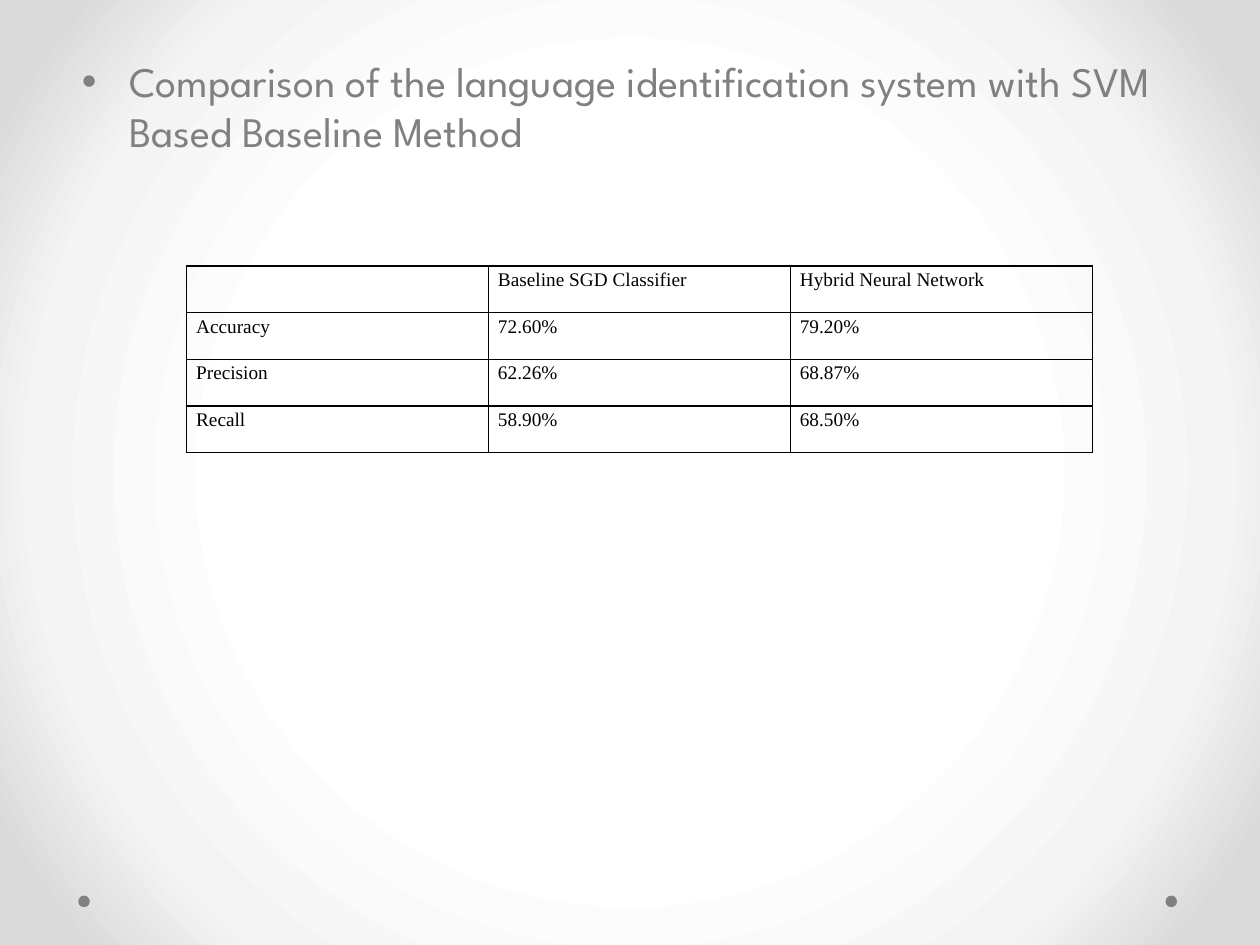
"""Builds a slide that compares two language identification methods in a table."""
from lxml import etree
from pptx import Presentation, util as u
from pptx.dml import color
from pptx.enum import shapes, text
from pptx.oxml import ns

Pt = u.Pt
HUES = {"white": "FFFFFF", "pale": "F4F4F4", "edge": "DADADA", "gray": "808080", "ink": "000000"}
FONTS = {"body": "League Spartan", "grid": "Times New Roman"}
ROWS = [
    ["", "Baseline SGD Classifier ", "Hybrid Neural Network"],
    ["Accuracy", "72.60%", "79.20%"],
    ["Precision", "62.26%", "68.87%"],
    ["Recall", "58.90%", "68.50%"],
]


def rgb(hue):
    return color.RGBColor.from_string(HUES[hue])


def style(para, face, size, hue):
    for run in para.runs:
        run.font.name = FONTS[face]
        run.font.size = Pt(size)
        run.font.color.rgb = rgb(hue)


def backdrop(slide):
    stops = "".join(
        f'<a:gs pos="{pos * 1000}"><a:srgbClr val="{HUES[hue]}"/></a:gs>'
        for pos, hue in ((50, "white"), (76, "pale"), (92, "edge"))
    )
    xml = (
        f'<p:bg {ns.nsdecls("p", "a")}><p:bgPr><a:gradFill rotWithShape="1">'
        f'<a:gsLst>{stops}</a:gsLst><a:path path="circle">'
        '<a:fillToRect l="50000" t="50000" r="50000" b="50000"/></a:path>'
        '</a:gradFill><a:effectLst/></p:bgPr></p:bg>'
    )
    slide.element.cSld.insert(0, etree.fromstring(xml))


def dots(slide, left, top, width, size):
    for x in (left, left + width - size):
        dot = slide.shapes.add_shape(shapes.MSO_SHAPE.OVAL, Pt(x), Pt(top), Pt(size), Pt(size))
        dot.shadow.inherit = False
        dot.fill.solid()
        dot.fill.fore_color.rgb = rgb("gray")
        dot.line.fill.background()


def heading(slide, left, top, width, height):
    body = slide.placeholders[1]
    body.left, body.top, body.width, body.height = map(Pt, (left, top, width, height))
    frame = body.text_frame
    frame.text = "Comparison of the language identification system with SVM Based Baseline Method"
    frame.auto_size = text.MSO_AUTO_SIZE.NONE
    frame.vertical_anchor = text.MSO_ANCHOR.TOP
    para = frame.paragraphs[0]
    style(para, "body", 24, "gray")
    props = para._p.get_or_add_pPr()
    props.set("marL", str(Pt(27)))
    props.set("indent", str(-Pt(27)))
    bullet = etree.SubElement(props, ns.qn("a:buChar"))
    bullet.set("char", "•")


def border(cell):
    props = cell._tc.get_or_add_tcPr()
    for side in "LRTB":
        line = etree.SubElement(props, ns.qn(f"a:ln{side}"), w=str(Pt(1)))
        fill = etree.SubElement(line, ns.qn("a:solidFill"))
        etree.SubElement(fill, ns.qn("a:srgbClr"), val=HUES["ink"])


def scores(slide, left, top, width, height):
    frame = slide.shapes.add_table(
        len(ROWS), len(ROWS[0]), Pt(left), Pt(top), Pt(width), Pt(height))
    table = frame.table
    table.first_row = table.horz_banding = False
    for col in table.columns:
        col.width = Pt(width / len(ROWS[0]))
    for r, row in enumerate(ROWS):
        table.rows[r].height = Pt(height / len(ROWS))
        for c, word in enumerate(row):
            cell = table.cell(r, c)
            cell.margin_left = cell.margin_right = Pt(5.4)
            cell.margin_top = cell.margin_bottom = 0
            border(cell)
            cell.fill.background()
            if word:
                cell.text = word
                para = cell.text_frame.paragraphs[0]
                para.line_spacing = 1.15
                para.space_after = Pt(10)
                style(para, "grid", 11, "ink")


def main():
    deck = Presentation()
    deck.slide_width, deck.slide_height = Pt(720), Pt(540)
    slide = deck.slides.add_slide(deck.slide_layouts[1])
    title = slide.shapes.title.element
    title.getparent().remove(title)
    backdrop(slide)
    dots(slide, 44.7, 511.8, 627.9, 6.6)
    heading(slide, 39.6, 28.1, 641.5, 78.5)
    scores(slide, 106.7, 152, 517.5, 106.6)
    deck.save("out.pptx")


main()
